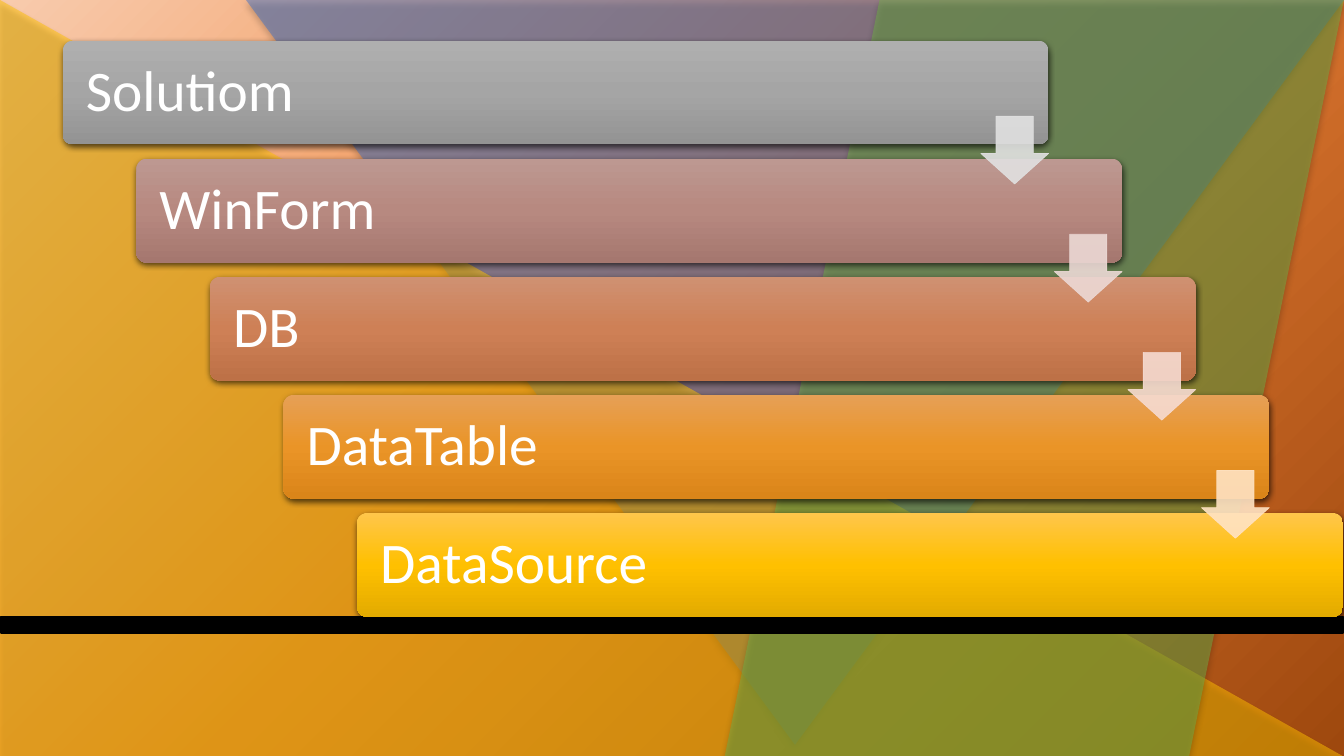
from copy import deepcopy

from lxml import etree
from pptx import Presentation
from pptx.dml.color import RGBColor
from pptx.enum.shapes import MSO_SHAPE
from pptx.enum.text import MSO_ANCHOR, PP_ALIGN
from pptx.oxml.ns import qn
from pptx.util import Pt

TRIANGLE = MSO_SHAPE.ISOSCELES_TRIANGLE
RIGHT_TRIANGLE = MSO_SHAPE.RIGHT_TRIANGLE
PARALLELOGRAM = MSO_SHAPE.PARALLELOGRAM
RECTANGLE = MSO_SHAPE.RECTANGLE
ROUNDED_RECTANGLE = MSO_SHAPE.ROUNDED_RECTANGLE
DOWN_ARROW = MSO_SHAPE.DOWN_ARROW
MIDDLE = MSO_ANCHOR.MIDDLE
LEFT = PP_ALIGN.LEFT

SLIDE_WIDTH, SLIDE_HEIGHT = 960, 540
FONT = "Calibri"
COLORS = {
    "background_start": "F8CBAD",
    "background_middle": "EE843B",
    "background_end": "9E480E",
    "blue": "4472C4",
    "gold": "FFC000",
    "green": "70AD47",
    "black": "000000",
    "white": "FFFFFF",
}
STEPS = [
    ("Solutiom", ("AFAFAF", "A5A5A5", "939393"), "E1E1E1"),
    ("WinForm", ("BD9891", "B78980", "A5776F"), "ECD9D5"),
    ("DB", ("CF9172", "CE8056", "BD7147"), "F6DBD1"),
    ("DataTable", ("E6A056", "EA9427", "DA8519"), "FFE3C3"),
    ("DataSource", ("FFC64B", "FFC000", "E3AB00"), None),
]


def set_gradient(fill, element, stops, angle):
    fill.gradient()
    fill.gradient_angle = angle
    stop_list = element.find(".//" + qn("a:gsLst"))
    stop_list.insert(1, deepcopy(stop_list[0]))
    for stop, (position, color) in zip(fill.gradient_stops, stops):
        stop.position = position
        stop.color.rgb = RGBColor.from_string(color)


def set_alpha(element, percent):
    for color in element.iter(qn("a:srgbClr")):
        etree.SubElement(color, qn("a:alpha"), val=str(percent * 1000))


def add_shadow(shape, percent, blur, distance):
    effects = shape.element.spPr.find(qn("a:effectLst"))
    shadow = etree.SubElement(
        effects, qn("a:outerShdw"), blurRad=str(Pt(blur)),
        dist=str(Pt(distance)), dir="5400000", rotWithShape="0")
    color = etree.SubElement(shadow, qn("a:srgbClr"), val=COLORS["black"])
    etree.SubElement(color, qn("a:alpha"), val=str(percent * 1000))


def add_plain_shape(slide, kind, box, color=None):
    shape = slide.shapes.add_shape(kind, *(Pt(length) for length in box))
    shape.shadow.inherit = False
    shape.line.fill.background()
    if color:
        shape.fill.solid()
        shape.fill.fore_color.rgb = RGBColor.from_string(color)
    return shape


def set_line(shape, color, width):
    shape.line.color.rgb = RGBColor.from_string(color)
    shape.line.width = Pt(width)


def add_backdrop(slide, width, height):
    stops = [
        (0, COLORS["background_start"]),
        (0.46, COLORS["background_middle"]),
        (1, COLORS["background_end"]),
    ]
    set_gradient(slide.background.fill, slide.element, stops, 315)
    facets = [
        (TRIANGLE, (175.7, 0, width - 175.7, 532), "blue", 180),
        (RIGHT_TRIANGLE, (0, 0, width - 1, height), "gold", 0),
        (PARALLELOGRAM, (517.7, 0, width - 517.7, height), "green", 0),
    ]
    for kind, box, color, rotation in facets:
        facet = add_plain_shape(slide, kind, box, COLORS[color])
        facet.rotation = rotation
        set_alpha(facet.element.spPr, 50)
        add_shadow(facet, 40, 4, 3)
    band = add_plain_shape(slide, RECTANGLE, (0.7, 440.6, width - 1.4, 11.5),
                           COLORS["black"])
    set_line(band, COLORS["black"], 1)


def add_bar(slide, box, label, shades):
    bar = add_plain_shape(slide, ROUNDED_RECTANGLE, box)
    bar.adjustments[0] = 0.1
    set_gradient(bar.fill, bar.element, zip((0, 0.5, 1), shades), 270)
    add_shadow(bar, 63, 4.5, 1.5)
    frame = bar.text_frame
    frame.text = label
    frame.word_wrap = True
    frame.vertical_anchor = MIDDLE
    frame.margin_left = frame.margin_right = Pt(14.4)
    frame.margin_top = frame.margin_bottom = Pt(12)
    paragraph = frame.paragraphs[0]
    paragraph.alignment = LEFT
    paragraph.line_spacing = 0.9
    font = paragraph.runs[0].font
    font.name = FONT
    font.size = Pt(41)
    font.color.rgb = RGBColor.from_string(COLORS["white"])


def add_arrow(slide, box, color):
    arrow = add_plain_shape(slide, DOWN_ARROW, box, color)
    arrow.adjustments[0] = 0.45
    arrow.adjustments[1] = 0.55
    arrow.adjustments[0] = 0.55
    arrow.adjustments[1] = 0.45
    set_line(arrow, color, 0.5)
    set_alpha(arrow.element.spPr, 90)


def add_staircase(slide, left, top, width, height):
    bar_width, bar_height, arrow_size = 704.2, 74.2, 48.4
    step_x = (width - bar_width) / (len(STEPS) - 1)
    step_y = (height - bar_height) / (len(STEPS) - 1)
    corners = [(left + index * step_x, top + index * step_y)
               for index in range(len(STEPS))]
    for (x, y), (label, shades, _) in zip(corners, STEPS):
        add_bar(slide, (x, y, bar_width, bar_height), label, shades)
    for (x, y), (_, _, color) in zip(corners[:-1], STEPS):
        add_arrow(slide, (x + bar_width - arrow_size, y + 54,
                          arrow_size, arrow_size), color)


def main():
    presentation = Presentation()
    presentation.slide_width = Pt(SLIDE_WIDTH)
    presentation.slide_height = Pt(SLIDE_HEIGHT)
    slide = presentation.slides.add_slide(presentation.slide_layouts[6])
    add_backdrop(slide, SLIDE_WIDTH, SLIDE_HEIGHT)
    add_staircase(slide, 44.8, 29, 914.4, 411.6)
    presentation.save("out.pptx")


if __name__ == "__main__":
    main()
